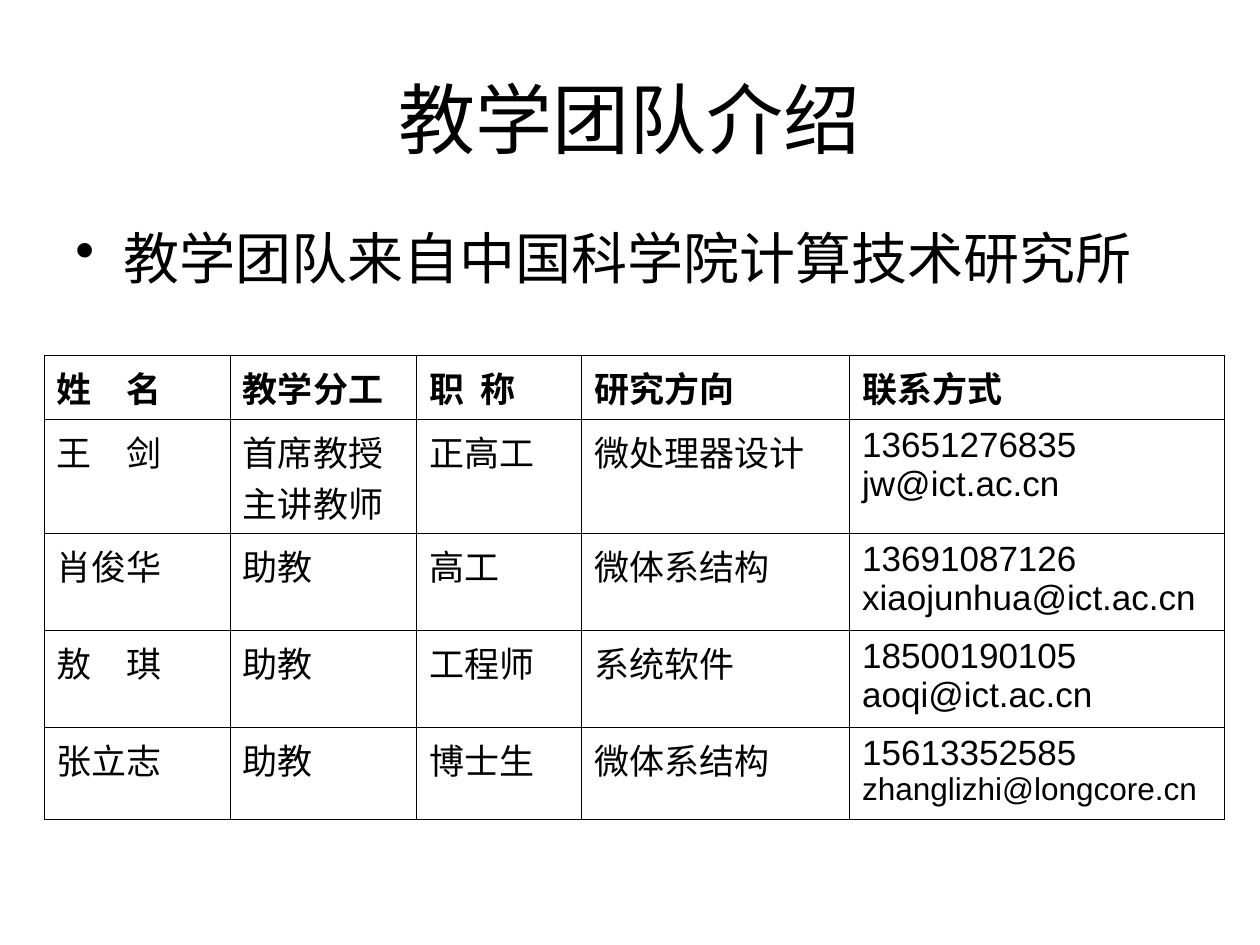
from lxml import etree
from pptx import Presentation
from pptx.dml.color import RGBColor
from pptx.enum.text import MSO_ANCHOR, PP_ALIGN
from pptx.oxml.ns import qn
from pptx.util import Inches, Pt

LEFT, CENTER = PP_ALIGN.LEFT, PP_ALIGN.CENTER
TOP, MIDDLE = MSO_ANCHOR.TOP, MSO_ANCHOR.MIDDLE
COLORS = {"ink": "000000", "paper": "FFFFFF"}
FONT = "Arial"
SLIDE_WIDTH, SLIDE_HEIGHT = Inches(10), Inches(7.5)
TITLE_BOX = (0.05, 0.04, 0.9, 0.17)
AFFILIATION_BOX = (0.05, 0.23, 0.9, 0.12)
ROSTER_BOX = (0.035, 0.376, 0.937, 0.48)
COLUMN_SHARES = (1.48, 1.48, 1.31, 2.13, 2.98)
ROW_SHARES = (0.51, 0.91, 0.74, 0.74, 0.71)
ROSTER = (
    ("姓　名", "教学分工", "职  称", "研究方向", "联系方式"),
    ("王　剑", "首席教授\n主讲教师", "正高工", "微处理器设计", "13651276835\njw@ict.ac.cn"),
    ("肖俊华", "助教", "高工", "微体系结构", "13691087126\nxiaojunhua@ict.ac.cn"),
    ("敖　琪", "助教", "工程师", "系统软件", "18500190105\naoqi@ict.ac.cn"),
    ("张立志", "助教", "博士生", "微体系结构", "15613352585\nzhanglizhi@longcore.cn"),
)


def place(box):
    """Turn shares of the slide into left, top, width and height."""
    extents = (SLIDE_WIDTH, SLIDE_HEIGHT) * 2
    return [round(share * extent) for share, extent in zip(box, extents)]


def write(frame, text, size, bold=False, align=LEFT, bullet=None, indent=0.38):
    """Write one paragraph per line of text in the given format."""
    frame.word_wrap = True
    frame.text = text
    for paragraph in frame.paragraphs:
        paragraph.alignment = align
        if bullet:
            properties = paragraph._p.get_or_add_pPr()
            properties.set("marL", str(Inches(indent)))
            properties.set("indent", str(-Inches(indent)))
            etree.SubElement(properties, qn("a:buChar"), char=bullet)
        font = paragraph.runs[0].font
        font.name, font.size, font.bold = FONT, Pt(size), bold
        font.color.rgb = RGBColor.from_string(COLORS["ink"])


def add_line_of_text(slide, box, text, anchor=TOP, **style):
    """Place a text box holding one heading or statement."""
    frame = slide.shapes.add_textbox(*place(box)).text_frame
    frame.vertical_anchor = anchor
    write(frame, text, **style)


def rule_cell(cell, width=0.45):
    """Draw thin rules on all sides of a cell and leave it unfilled."""
    properties = cell._tc.get_or_add_tcPr()
    for side in ("lnL", "lnR", "lnT", "lnB"):
        rule = etree.SubElement(properties, qn(f"a:{side}"), w=str(Pt(width)))
        fill = etree.SubElement(rule, qn("a:solidFill"))
        etree.SubElement(fill, qn("a:srgbClr"), val=COLORS["ink"])
    cell.fill.background()


def add_roster(slide, box):
    """Place the table of teaching staff."""
    left, top, width, height = place(box)
    table = slide.shapes.add_table(
        len(ROSTER), len(COLUMN_SHARES), left, top, width, height).table
    table.first_row = table.horz_banding = False
    for column, share in zip(table.columns, COLUMN_SHARES):
        column.width = round(width * share / sum(COLUMN_SHARES))
    for row, share in zip(table.rows, ROW_SHARES):
        row.height = round(height * share / sum(ROW_SHARES))
    for row_index, member in enumerate(ROSTER):
        for column_index, entry in enumerate(member):
            cell = table.cell(row_index, column_index)
            cell.margin_left = cell.margin_right = Inches(0.1)
            cell.margin_top = cell.margin_bottom = Inches(0.05)
            write(cell.text_frame, entry, size=20, bold=row_index == 0)
            rule_cell(cell)
    longest_address = table.cell(len(ROSTER) - 1, len(COLUMN_SHARES) - 1)
    longest_address.text_frame.paragraphs[-1].runs[0].font.size = Pt(18)


def main():
    """Build and save the teaching team slide."""
    deck = Presentation()
    deck.slide_width, deck.slide_height = SLIDE_WIDTH, SLIDE_HEIGHT
    slide = deck.slides.add_slide(deck.slide_layouts[6])
    slide.background.fill.solid()
    slide.background.fill.fore_color.rgb = RGBColor.from_string(COLORS["paper"])
    add_line_of_text(slide, TITLE_BOX, "教学团队介绍", anchor=MIDDLE, size=44, align=CENTER)
    add_line_of_text(slide, AFFILIATION_BOX, "教学团队来自中国科学院计算技术研究所",
                     size=32, bullet="•")
    add_roster(slide, ROSTER_BOX)
    deck.save("out.pptx")


if __name__ == "__main__":
    main()
